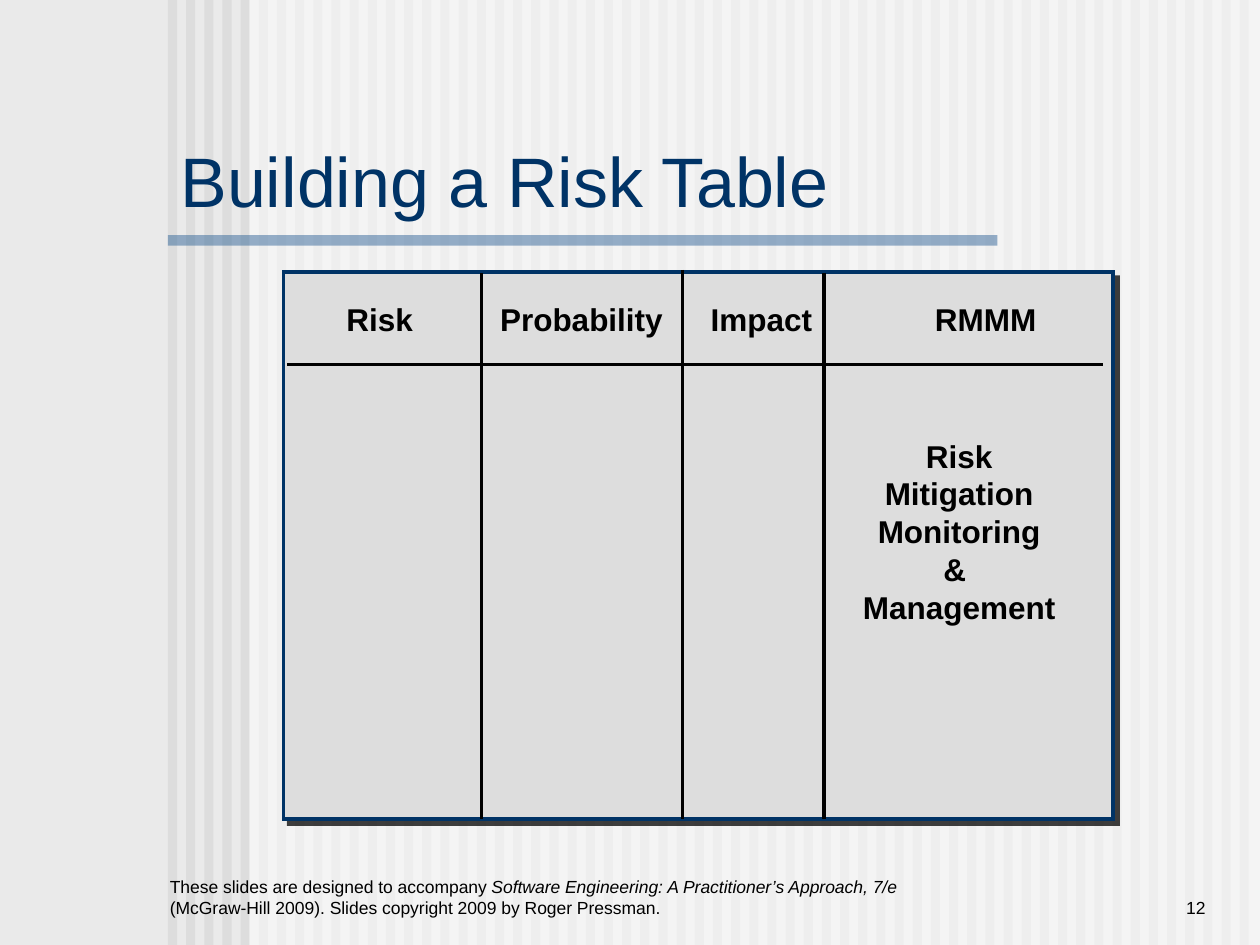
from dataclasses import dataclass
from typing import NamedTuple

from lxml import etree
from pptx import Presentation, util as u
from pptx.dml.color import RGBColor
from pptx.enum import shapes, text
from pptx.oxml import ns


@dataclass(frozen=True)
class Theme:
    backdrop: str = "EAEAEA"
    stripe: str = "DDDDDD"
    veil: str = "FFFFFF"
    accent: str = "336699"
    heading: str = "003366"
    ink: str = "000000"
    font: str = "Arial"
    title_size: int = 40
    table_size: int = 18
    footer_size: int = 10
    line_width: int = 2


class Box(NamedTuple):
    """Place and size in grid cells."""
    column: float
    row: float
    columns: float
    rows: float


class Rule(NamedTuple):
    start: tuple[float, float]
    end: tuple[float, float]


class Run(NamedTuple):
    words: str
    italic: bool = False


THEME = Theme()


@dataclass(frozen=True)
class Label:
    box: Box
    paragraphs: list[list[Run]]
    size: int
    color: str = THEME.ink
    bold: bool = False
    wrap: bool = True
    align: text.PP_ALIGN = text.PP_ALIGN.LEFT
    anchor: text.MSO_ANCHOR = text.MSO_ANCHOR.TOP


COLUMNS, ROWS = 120, 90
CELL = u.Inches(10) // COLUMNS

STRIPE_COUNT, STRIPE_LEFT, STRIPE_PITCH, STRIPE_WIDTH = 60, 16, 1.73, 0.87
VEIL = Box(23.75, 0, 96.25, ROWS)
TITLE_BAR = Box(16, 22.4, 79, 1)
PANEL = Box(27, 25.9, 79, 52.1)
PANEL_BOTTOM = PANEL.row + PANEL.rows

RULES = [Rule((column, top), (column, PANEL_BOTTOM))
         for column, top in ((45.85, 26), (65, 25.7), (78.5, 26))]
RULES.append(Rule((27.35, 34.7), (105, 34.7)))

HEADERS = [("Risk", 31.8, 9), ("Probability", 46.45, 18.2),
           ("Impact", 66.5, 12.4), ("RMMM", 87.85, 12.4)]
RMMM_WORDS = ["Risk", "Mitigation", "Monitoring", "& ", "Management"]
FOOTER = [
    Run("These slides are designed to accompany "),
    Run("Software Engineering: A Practitioner’s Approach, 7/e ", italic=True),
    Run("(McGraw-Hill 2009). Slides copyright 2009 by Roger Pressman."),
]

LABELS = [
    Label(Box(99, 82, 17, 6), [[Run("12")]], THEME.footer_size,
          align=text.PP_ALIGN.RIGHT, anchor=text.MSO_ANCHOR.BOTTOM),
    Label(Box(15, 82, 72, 6), [FOOTER], THEME.footer_size,
          anchor=text.MSO_ANCHOR.BOTTOM),
    Label(Box(16, 13, 69, 8.2), [[Run("Building a Risk Table")]],
          THEME.title_size, THEME.heading, anchor=text.MSO_ANCHOR.MIDDLE),
    *(Label(Box(column, 28, columns, 4.8), [[Run(header)]], THEME.table_size,
            bold=True, wrap=False) for header, column, columns in HEADERS),
    Label(Box(80.9, 41, 20.9, 19.2), [[Run(word)] for word in RMMM_WORDS],
          THEME.table_size, bold=True, wrap=False, align=text.PP_ALIGN.CENTER),
]


def cells(*counts: float) -> list[int]:
    return [u.Emu(round(count * CELL)) for count in counts]


def add_element(parent, tag: str, **attributes: str):
    return etree.SubElement(parent, ns.qn(tag), attributes)


def draw_block(slide, box: Box, fill: str, alpha: int = 100):
    block = slide.shapes.add_shape(shapes.MSO_SHAPE.RECTANGLE, *cells(*box))
    block.shadow.inherit = False
    block.fill.solid()
    block.fill.fore_color.rgb = RGBColor.from_string(fill)
    block.line.fill.background()
    if alpha < 100:
        color = block._element.spPr.find(".//" + ns.qn("a:srgbClr"))
        add_element(color, "a:alpha", val=str(alpha * 1000))
    return block


def style_line(line, color: str) -> None:
    line.color.rgb = RGBColor.from_string(color)
    line.width = u.Pt(THEME.line_width)


def draw_panel(slide) -> None:
    panel = draw_block(slide, PANEL, THEME.stripe)
    style_line(panel.line, THEME.heading)
    add_element(panel._element.spPr.find(ns.qn("a:ln")), "a:miter", lim="800000")
    effects = panel._element.spPr.find(ns.qn("a:effectLst"))
    shadow = add_element(effects, "a:outerShdw", blurRad="0",
                         dist=str(u.Pt(4.2)), dir=str(45 * 60000),
                         algn="ctr", rotWithShape="0")
    color = add_element(shadow, "a:srgbClr", val=THEME.ink)
    add_element(color, "a:alpha", val="75000")


def draw_rule(slide, rule: Rule) -> None:
    connector = slide.shapes.add_connector(
        shapes.MSO_CONNECTOR.STRAIGHT, *cells(*rule.start, *rule.end))
    style_line(connector.line, THEME.ink)
    add_element(connector._element.spPr, "a:effectLst")


def draw_label(slide, label: Label) -> None:
    frame = slide.shapes.add_textbox(*cells(*label.box)).text_frame
    frame.word_wrap = label.wrap
    frame.vertical_anchor = label.anchor
    if not label.wrap:
        frame.auto_size = text.MSO_AUTO_SIZE.SHAPE_TO_FIT_TEXT
    for index, runs in enumerate(label.paragraphs):
        paragraph = frame.add_paragraph() if index else frame.paragraphs[0]
        paragraph.alignment = label.align
        for part in runs:
            run = paragraph.add_run()
            run.text = part.words
            style = {"name": THEME.font, "size": u.Pt(label.size),
                     "bold": label.bold, "italic": part.italic}
            for attribute, value in style.items():
                setattr(run.font, attribute, value)
            run.font.color.rgb = RGBColor.from_string(label.color)


def main() -> None:
    deck = Presentation()
    deck.slide_width, deck.slide_height = cells(COLUMNS, ROWS)
    slide = deck.slides.add_slide(deck.slide_layouts[6])
    slide.background.fill.solid()
    slide.background.fill.fore_color.rgb = RGBColor.from_string(THEME.backdrop)

    for index in range(STRIPE_COUNT):
        column = STRIPE_LEFT + index * STRIPE_PITCH
        draw_block(slide, Box(column, 0, STRIPE_WIDTH, ROWS), THEME.stripe)
    draw_block(slide, VEIL, THEME.veil, alpha=50)
    draw_block(slide, TITLE_BAR, THEME.accent, alpha=50)
    draw_panel(slide)
    for rule in RULES:
        draw_rule(slide, rule)
    for label in LABELS:
        draw_label(slide, label)
    deck.save("out.pptx")


if __name__ == "__main__":
    main()
